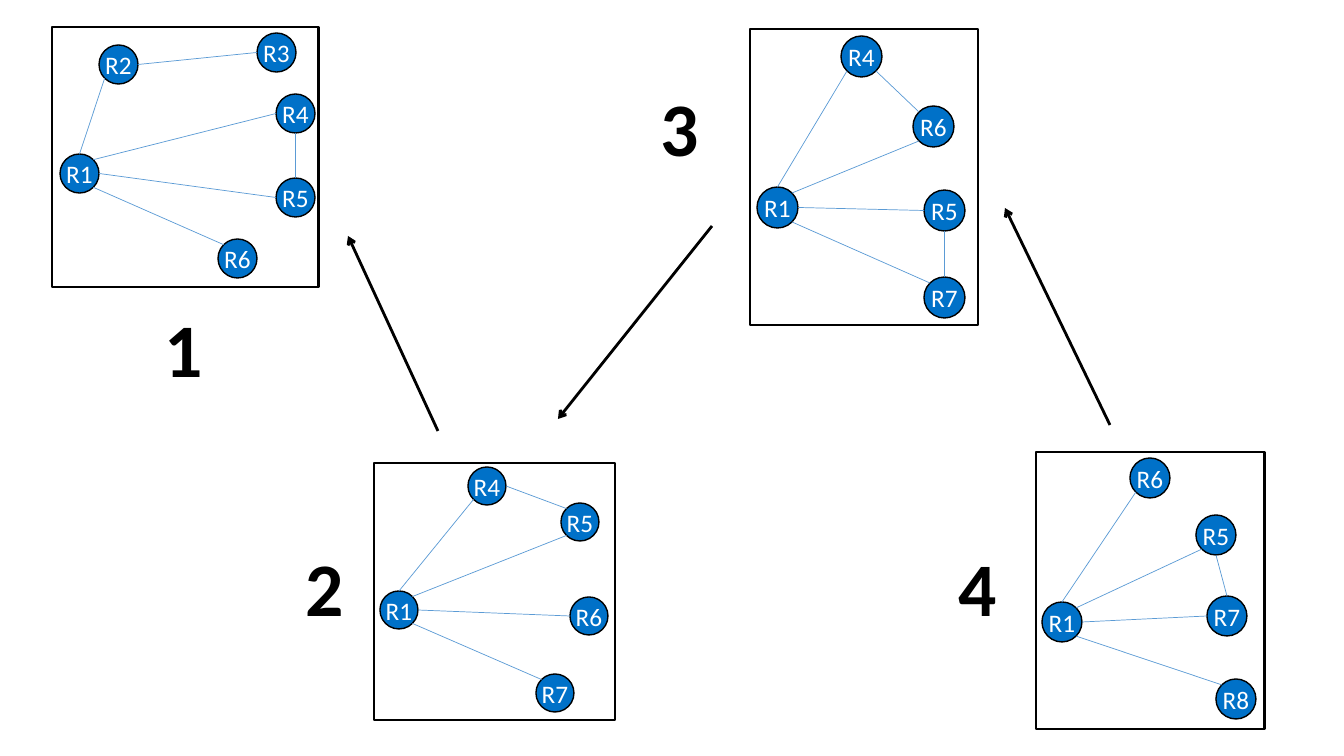
"""Build a slide of four router link graphs joined in a sequence by arrows."""
import math

import pptx
import pptx.dml.color
import pptx.enum.shapes
import pptx.enum.text
import pptx.oxml.ns
import pptx.util

EMU_PER_PIXEL = 914400 / 100.8
COLORS = {"ink": "000000", "router": "0071C8", "link": "5B9BD5", "label": "FFFFFF"}
SITES = ["N", "NW", "W", "SW", "S", "SE", "E", "NE"]
SHAPES = pptx.enum.shapes.MSO_SHAPE
STRAIGHT = pptx.enum.shapes.MSO_CONNECTOR.STRAIGHT
TEXT = pptx.enum.text


def emu(pixels):
    return round(pixels * EMU_PER_PIXEL)


def color(name):
    return pptx.dml.color.RGBColor.from_string(COLORS[name])


def assign(target, values):
    for attribute, value in values.items():
        setattr(target, attribute, value)


class GraphSlide:
    """Hold the style and the current slide, and draw each kind of element."""

    font = "Calibri"

    def __init__(self, presentation):
        self.slide = presentation.slides.add_slide(presentation.slide_layouts[6])

    def stroke(self, line, name, width):
        line.color.rgb = color(name)
        line.width = pptx.util.Pt(width)

    def label(self, shape, words, frame_format, font_format, ink, align):
        assign(shape.text_frame, frame_format)
        paragraph = shape.text_frame.paragraphs[0]
        paragraph.alignment = align
        run = paragraph.add_run()
        run.text = words
        run.font.color.rgb = color(ink)
        assign(run.font, {"name": self.font, **font_format})

    def outline(self, shapes, kind, box, width, fill=None):
        shape = shapes.add_shape(kind, *map(emu, box))
        shape.shadow.inherit = False
        if fill:
            shape.fill.solid()
            shape.fill.fore_color.rgb = color(fill)
        else:
            shape.fill.background()
        self.stroke(shape.line, "ink", width)
        return shape

    def line(self, shapes, start, end, name, width):
        connector = shapes.add_connector(STRAIGHT, *start, *end)
        self.stroke(connector.line, name, width)
        effects = pptx.oxml.ns.qn("a:effectLst")
        properties = connector._element.spPr
        properties.append(properties.makeelement(effects))
        return connector

    def arrow(self, start, end):
        connector = self.line(self.slide.shapes, map(emu, start), map(emu, end), "ink", 2)
        outline = connector._element.spPr.find(pptx.oxml.ns.qn("a:ln"))
        outline.append(outline.makeelement(pptx.oxml.ns.qn("a:tailEnd"), {"type": "arrow"}))

    def router(self, shapes, name, left, top, size):
        router = self.outline(shapes, SHAPES.OVAL, (left, top, size, size), 1, "router")
        self.label(router, name,
                   {"word_wrap": False, "vertical_anchor": TEXT.MSO_ANCHOR.MIDDLE},
                   {"size": pptx.util.Pt(18)}, "label", TEXT.PP_ALIGN.CENTER)
        return router

    def link(self, shapes, first, first_site, second, second_site):
        def site_point(router, site):
            angle = math.radians(45 * site)
            radius = router.width / 2
            return (round(router.left + radius * (1 - math.sin(angle))),
                    round(router.top + radius * (1 - math.cos(angle))))

        start, end = site_point(first, first_site), site_point(second, second_site)
        link = self.line(shapes, start, end, "link", 0.5)
        link.begin_connect(first, 0)
        link.end_connect(second, 0)
        for tag, site in (("a:stCxn", first_site), ("a:endCxn", second_site)):
            link._element.find(".//" + pptx.oxml.ns.qn(tag)).set("idx", str(site))
        assign(link, dict(zip(("begin_x", "begin_y", "end_x", "end_y"), start + end)))

    def graph(self, frame, size, places, links):
        shapes = self.slide.shapes.add_group_shape().shapes
        self.outline(shapes, SHAPES.RECTANGLE, frame, 2)
        routers = {name: self.router(shapes, name, *place, size)
                   for name, place in places.items()}
        for pair in links.split(", "):
            first, first_site, second, second_site = pair.split()
            self.link(shapes, routers[first], SITES.index(first_site),
                      routers[second], SITES.index(second_site))

    def number(self, words, left, top):
        box = self.slide.shapes.add_textbox(*map(emu, (left, top, 60, 102)))
        self.label(box, words,
                   {"word_wrap": False, "auto_size": TEXT.MSO_AUTO_SIZE.SHAPE_TO_FIT_TEXT},
                   {"size": pptx.util.Pt(54), "bold": True}, "ink", TEXT.PP_ALIGN.LEFT)


GRAPHS = [
    {"frame": (52, 27, 267, 260), "size": 39,
     "places": {"R1": (60, 154), "R2": (99, 45), "R3": (257, 33),
                "R4": (276, 94), "R5": (276, 178), "R6": (218, 239)},
     "links": "R2 E R3 W, R2 SW R1 N, R1 NE R4 W, R4 S R5 N, R1 SE R6 NW, R5 W R1 E"},
    {"frame": (374, 463, 241, 257), "size": 38,
     "places": {"R1": (380, 591), "R4": (468, 467), "R5": (561, 503),
                "R6": (570, 597), "R7": (536, 674)},
     "links": "R1 E R6 W, R1 SE R7 NW, R1 N R4 SW, R5 SW R1 NE, R4 E R5 NW"},
    {"frame": (750, 29, 228, 296), "size": 41,
     "places": {"R1": (757, 187), "R4": (841, 36), "R5": (924, 190),
                "R6": (913, 106), "R7": (924, 277)},
     "links": "R1 E R5 W, R6 SW R1 NE, R4 SE R6 NW, R5 S R7 N, R1 N R4 SW, R1 SE R7 NW"},
    {"frame": (1036, 452, 229, 277), "size": 40,
     "places": {"R1": (1042, 602), "R5": (1196, 515), "R6": (1130, 458),
                "R7": (1207, 596), "R8": (1216, 679)},
     "links": "R1 E R7 W, R5 SW R1 NE, R7 N R5 S, R1 N R6 SW, R1 SE R8 NW"},
]
ARROWS = [((712, 226), (558, 419)), ((1110, 425), (1005, 208)), ((438, 431), (348, 236))]
NUMBERS = {"1": (155, 297), "2": (296, 536), "3": (651, 76), "4": (949, 536)}

presentation = pptx.Presentation()
assign(presentation, {"slide_width": emu(1344), "slide_height": emu(756)})
sequence = GraphSlide(presentation)
for start, end in ARROWS:
    sequence.arrow(start, end)
for graph in GRAPHS:
    sequence.graph(**graph)
for words, place in NUMBERS.items():
    sequence.number(words, *place)
presentation.save("out.pptx")
